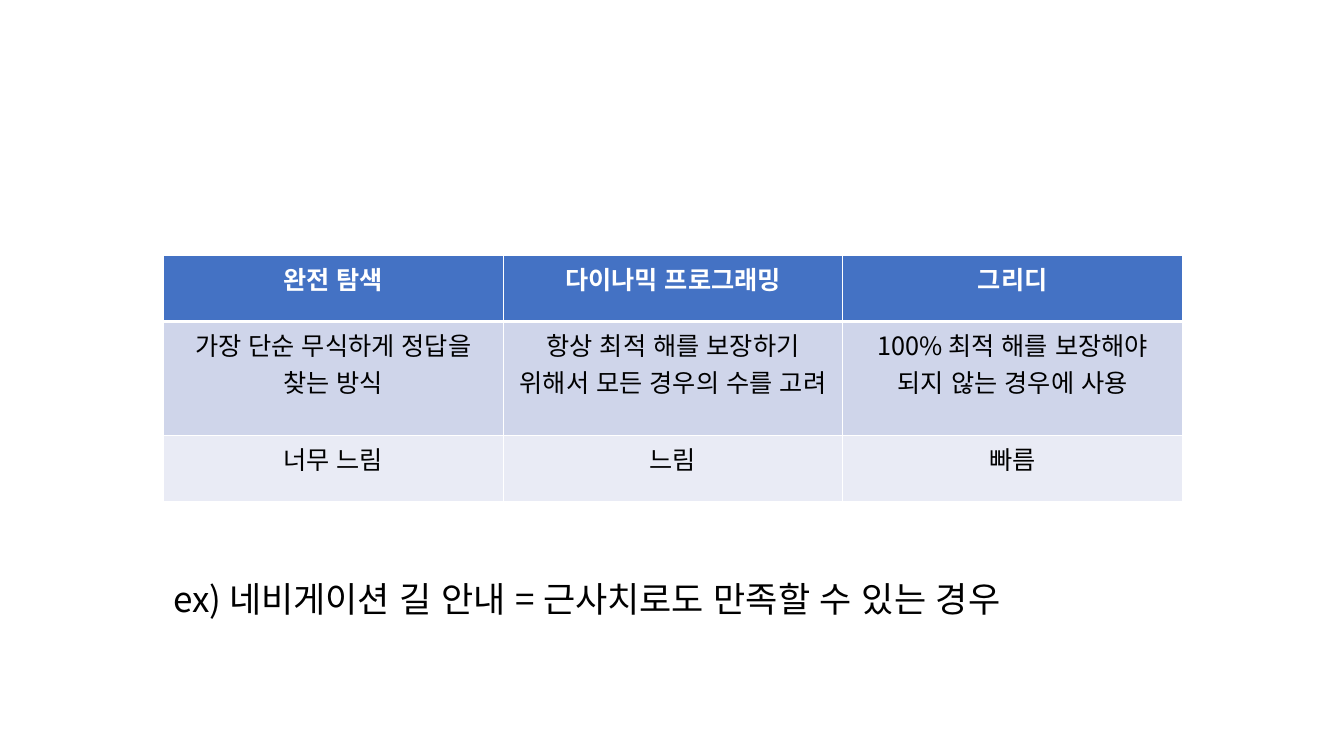
from lxml.etree import SubElement
from pptx import Presentation
from pptx.dml.color import RGBColor
from pptx.enum.lang import MSO_LANGUAGE_ID as Language
from pptx.enum.text import MSO_AUTO_SIZE as AutoSize, PP_ALIGN as Align
from pptx.oxml import parse_xml
from pptx.oxml.ns import nsdecls, qn
from pptx.util import Pt

EMU_PER_PX = 9144  # 100 px to the inch
WHITE = RGBColor(0xFF, 0xFF, 0xFF)
BLACK = RGBColor(0x00, 0x00, 0x00)
HEADER_BLUE = RGBColor(0x44, 0x72, 0xC4)
BAND_DARK = RGBColor(0xCF, 0xD5, 0xEA)
BAND_LIGHT = RGBColor(0xE9, 0xEB, 0xF5)

COMPARISON = [
    ["완전 탐색", "다이나믹 프로그래밍", "그리디"],
    ["가장 단순 무식하게 정답을 찾는 방식",
     "항상 최적 해를 보장하기 위해서 모든 경우의 수를 고려",
     "100% 최적 해를 보장해야 되지 않는 경우에 사용"],
    ["너무 느림", "느림", "빠름"],
]
ROW_FILLS = [HEADER_BLUE, BAND_DARK, BAND_LIGHT]
ROW_HEIGHTS = [66, 113, 66]


def px(length):
    return length * EMU_PER_PX


class SlideBuilder:
    font_name = "Noto Sans CJK KR"

    def __init__(self, slide):
        self.slide = slide

    def add_run(self, paragraph, text, size, color, bold=False):
        run = paragraph.add_run()
        run.text = text
        font = run.font
        font.size, font.bold, font.name = Pt(size), bold, self.font_name
        font.color.rgb = color
        font.language_id = Language.KOREAN
        # East Asian typeface follows the Latin one
        properties = run._r.get_or_add_rPr()
        SubElement(properties, qn("a:ea"), typeface=self.font_name)

    def set_borders(self, cell, **widths):
        properties = cell._tc.get_or_add_tcPr()
        for index, (side, width) in enumerate(widths.items()):
            properties.insert(index, parse_xml(
                f'<a:ln{side} {nsdecls("a")} w="{Pt(width)}"><a:solidFill>'
                f'<a:srgbClr val="{WHITE}"/></a:solidFill></a:ln{side}>'))

    def add_table(self, left, top, column_width, row_heights, texts, fills):
        columns = len(texts[0])
        table = self.slide.shapes.add_table(
            len(texts), columns, px(left), px(top),
            px(column_width * columns), px(sum(row_heights))).table
        for column in table.columns:
            column.width = px(column_width)
        for row_index, row in enumerate(table.rows):
            row.height = px(row_heights[row_index])
            header = row_index == 0
            for cell, text in zip(row.cells, texts[row_index]):
                cell.fill.solid()
                cell.fill.fore_color.rgb = fills[row_index]
                # Thick rule between the header and the body
                self.set_borders(cell, L=1, R=1,
                                 T=3 if row_index == 1 else 1,
                                 B=3 if header else 1)
                paragraph = cell.text_frame.paragraphs[0]
                paragraph.alignment = Align.CENTER
                self.add_run(paragraph, text, 18,
                             WHITE if header else BLACK, bold=header)

    def add_text(self, left, top, width, height, text, size):
        shape = self.slide.shapes.add_textbox(
            px(left), px(top), px(width), px(height))
        frame = shape.text_frame
        frame.word_wrap = True
        frame.auto_size = AutoSize.SHAPE_TO_FIT_TEXT
        self.add_run(frame.paragraphs[0], text, size, BLACK)


def main():
    presentation = Presentation()
    presentation.slide_width, presentation.slide_height = px(1333), px(750)
    blank_layout = presentation.slide_layouts[6]
    builder = SlideBuilder(presentation.slides.add_slide(blank_layout))

    # Comparison of the three approaches
    builder.add_table(162, 253, 337, ROW_HEIGHTS, COMPARISON, ROW_FILLS)

    # Example below the table
    builder.add_text(162, 568, 1041, 52,
                     "ex) 네비게이션 길 안내 = 근사치로도 만족할 수 있는 경우", 25)

    presentation.save("out.pptx")


if __name__ == "__main__":
    main()
